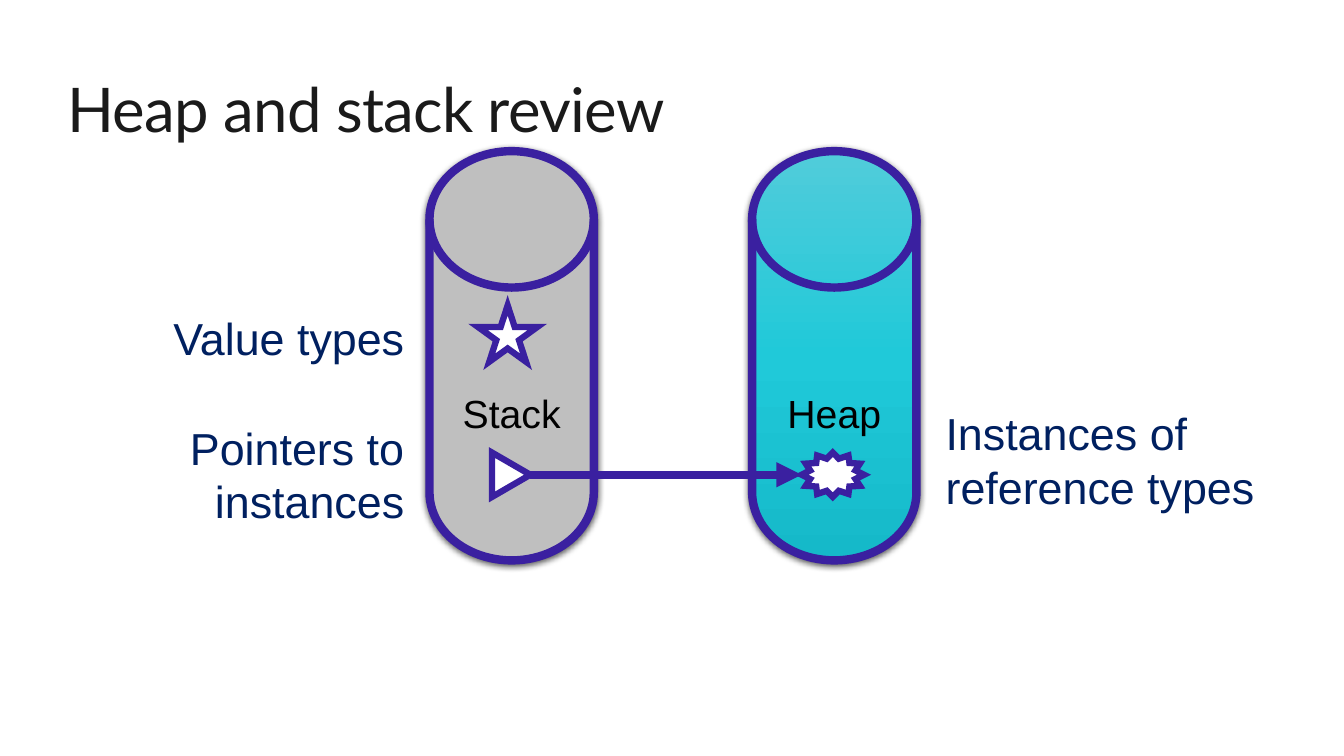
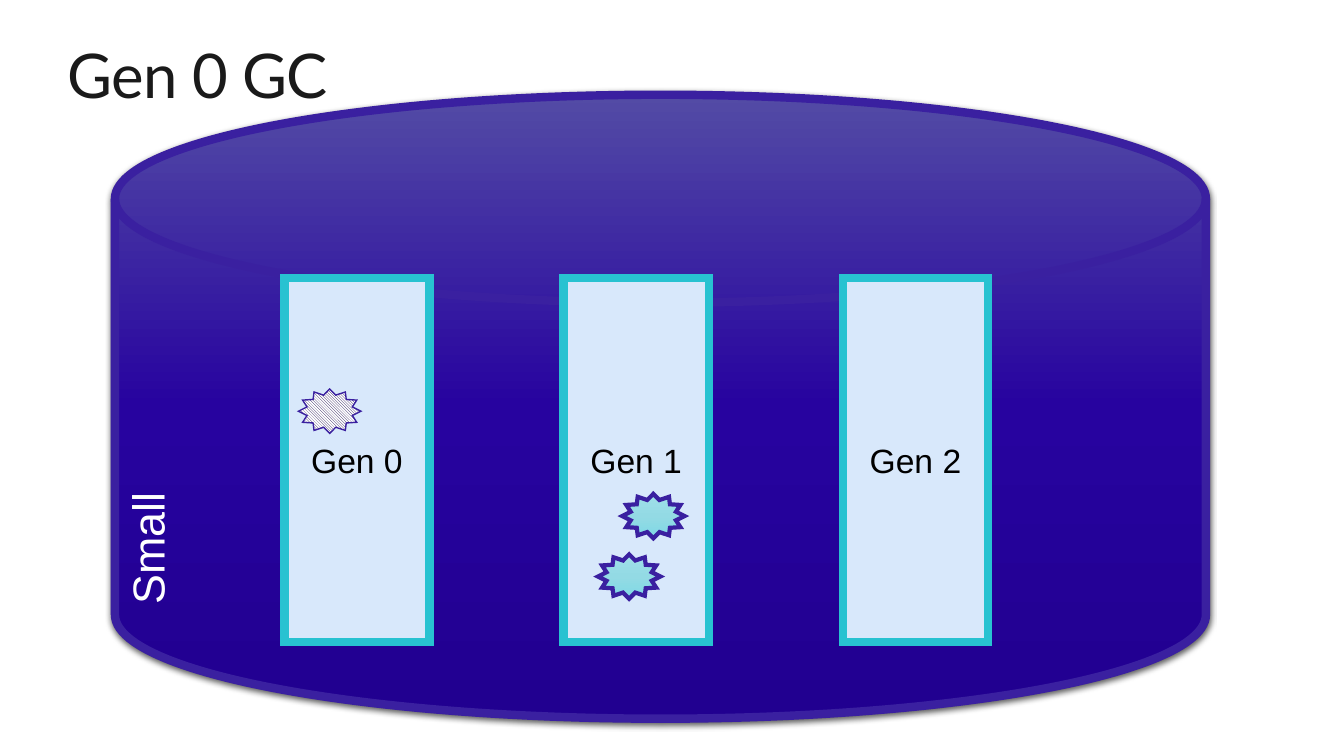
from copy import deepcopy

from lxml.etree import SubElement
from pptx import Presentation
from pptx.dml.color import RGBColor
from pptx.enum.dml import MSO_PATTERN
from pptx.enum.shapes import MSO_CONNECTOR, MSO_SHAPE
from pptx.enum.text import MSO_ANCHOR, PP_ALIGN
from pptx.oxml.ns import qn
from pptx.util import Pt

PX = 9144
WHITE = RGBColor(0xFF, 0xFF, 0xFF)
BLACK = RGBColor(0, 0, 0)
INK = RGBColor(0x1A, 0x1A, 0x1A)
NAVY = RGBColor(0x00, 0x20, 0x60)
PURPLE = RGBColor(0x3A, 0x20, 0xA0)
PLUM = RGBColor(0x16, 0x05, 0x4C)
GRAY = RGBColor(0xBF, 0xBF, 0xBF)
ICE = RGBColor(0xD8, 0xE8, 0xFB)
TEAL = RGBColor(0x28, 0xC2, 0xD1)
AQUA = [RGBColor(0x51, 0xCC, 0xDA), RGBColor(0x20, 0xC9, 0xD9), RGBColor(0x15, 0xB9, 0xC9)]
PALE = [RGBColor(0xA1, 0xE0, 0xE9), RGBColor(0x93, 0xDA, 0xE4), RGBColor(0x7F, 0xD9, 0xE5)]
DEEP = [RGBColor(0x53, 0x4B, 0xA5), RGBColor(0x27, 0x03, 0x9F), RGBColor(0x21, 0x00, 0x90)]
MIDDLE = MSO_ANCHOR.MIDDLE


def scale(*values):
    return [value * PX for value in values]


def write(shape, text, size=32, color=BLACK, font="Arial", align=PP_ALIGN.LEFT,
          anchor=MSO_ANCHOR.TOP, inset=(10, 5, 10, 5), wrap=False, lead=None,
          track=None, turn=None):
    frame = shape.text_frame
    frame.word_wrap = wrap
    frame.vertical_anchor = anchor
    (frame.margin_left, frame.margin_top,
     frame.margin_right, frame.margin_bottom) = scale(*inset)
    if turn:
        frame._txBody.bodyPr.set("vert", turn)
    para = frame.paragraphs[0]
    para.text = text
    para.alignment = align
    if lead:
        para.line_spacing = lead
    for run in para.runs:
        run.font.name = font
        run.font.size = Pt(size)
        run.font.color.rgb = color
        if track:
            run.font._element.set("spc", str(track))


def label(slide, box, text, **style):
    write(slide.shapes.add_textbox(*scale(*box)), text, **style)


def title(slide, box, text):
    label(slide, box, text, size=44, color=INK, font="Lato", anchor=MIDDLE,
          inset=(0, 0, 0, 0), wrap=True, lead=0.9, track=-50)


def blend(shape, colors):
    fill = shape.fill
    fill.gradient()
    fill.gradient_angle = 270
    stops = shape.element.spPr.find(".//" + qn("a:gsLst"))
    stops.append(deepcopy(stops[-1]))
    for part, (stop, color) in enumerate(zip(fill.gradient_stops, colors)):
        stop.color.rgb = color
        stop.position = part / 2


def draw(slide, kind, box, fill=WHITE, line=PURPLE, width=4.5):
    shape = slide.shapes.add_shape(kind, *scale(*box))
    shape.shadow.inherit = False
    if isinstance(fill, list):
        blend(shape, fill)
    else:
        shape.fill.solid()
        shape.fill.fore_color.rgb = fill
    shape.line.color.rgb = line
    shape.line.width = Pt(width)
    SubElement(shape.element.spPr.find(qn("a:ln")), qn("a:miter"), lim="800000")
    return shape


def disk(slide, box, fill, text, **style):
    shape = draw(slide, MSO_SHAPE.FLOWCHART_MAGNETIC_DISK, box, fill, width=6)
    effects = shape.element.spPr.find(qn("a:effectLst"))
    shade = SubElement(effects, qn("a:outerShdw"), blurRad=str(Pt(4.5)),
                       dist=str(Pt(1.5)), dir="5400000", algn="ctr", rotWithShape="0")
    color = SubElement(shade, qn("a:srgbClr"), val="000000")
    SubElement(color, qn("a:alpha"), val="63000")
    write(shape, text, **style)


def burst(slide, left, top, **style):
    return draw(slide, MSO_SHAPE.STAR_12_POINT, (left, top, 62, 44), **style)


def store(slide, box, fill, text):
    disk(slide, box, fill, text, size=28, align=PP_ALIGN.CENTER,
         anchor=MIDDLE, inset=(10, 50, 10, 5))


def stack(slide, box):
    x, y, w, h = box
    store(slide, box, GRAY, "Stack")
    draw(slide, MSO_SHAPE.ISOSCELES_TRIANGLE, (x + 59, y + 302, 44, 38)).rotation = 90
    draw(slide, MSO_SHAPE.STAR_5_POINT, (x + 48, y + 153, 59, 56))
    label(slide, (x - 266, y + 153, 251, 64), "Value types",
          color=NAVY, align=PP_ALIGN.RIGHT)
    label(slide, (x - 249, y + 262, 234, 118), "Pointers to\ninstances",
          color=NAVY, align=PP_ALIGN.RIGHT)


def heap(slide, box):
    x, y, w, h = box
    store(slide, box, AQUA, "Heap")
    burst(slide, x + 49, y + 299)
    label(slide, (x + w + 19, y + 248, 338, 118), "Instances of reference types",
          color=NAVY, wrap=True)


def arrow(slide, start, end):
    link = slide.shapes.add_connector(MSO_CONNECTOR.STRAIGHT, *scale(*start, *end))
    link.line.color.rgb = PURPLE
    link.line.width = Pt(6)
    SubElement(link.line._get_or_add_ln(), qn("a:tailEnd"), type="triangle")
    SubElement(link._element.spPr, qn("a:effectLst"))


def bins(slide, box, count, step):
    x, y, w, h = box
    for index in range(count):
        bin = draw(slide, MSO_SHAPE.RECTANGLE, (x + index * step, y, w, h),
                   ICE, TEAL, 6)
        write(bin, f"Gen {index}", size=24, align=PP_ALIGN.CENTER, anchor=MIDDLE)
    dead = burst(slide, x + 14, y + 110, width=1)
    dead.fill.patterned()
    dead.fill.pattern = MSO_PATTERN.DARK_DOWNWARD_DIAGONAL
    dead.fill.fore_color.rgb = PLUM
    dead.fill.back_color.rgb = WHITE
    for left, top in ((34, 274), (58, 214)):
        burst(slide, x + step + left, y + top, fill=PALE, width=3)


def review(slide):
    title(slide, (67, 67, 1200, 90), "Heap and stack review")
    stack(slide, (426, 150, 163, 406))
    heap(slide, (746, 150, 163, 406))
    arrow(slide, (526, 471), (795, 471))


def sweep(slide):
    disk(slide, (114, 94, 1082, 619), DEEP, "Small", color=WHITE, turn="vert270")
    title(slide, (67, 33, 1200, 90), "Gen 0 GC")
    bins(slide, (282, 276, 144, 361), 3, 277)


def main():
    deck = Presentation()
    deck.slide_width, deck.slide_height = scale(1333, 750)
    for build in (review, sweep):
        build(deck.slides.add_slide(deck.slide_layouts[6]))
    deck.save("out.pptx")


if __name__ == "__main__":
    main()
